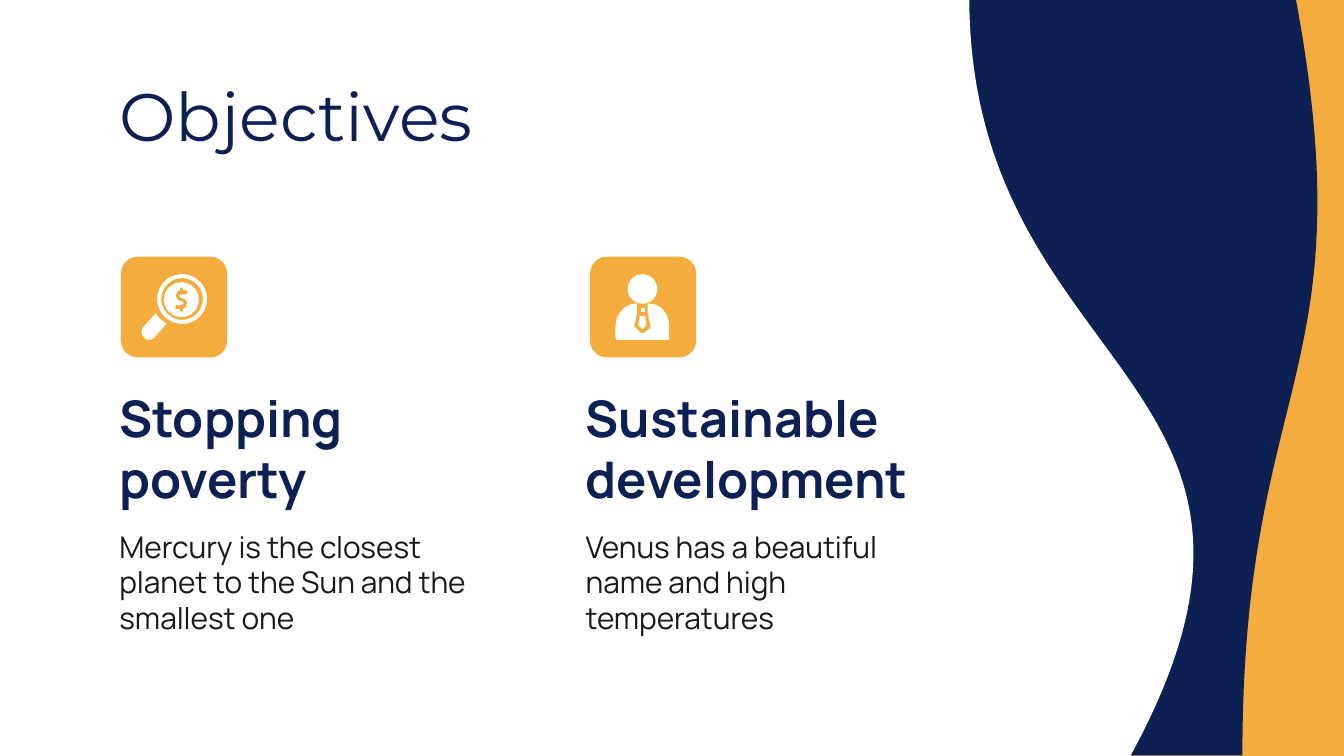
from pptx import Presentation
from pptx.dml.color import RGBColor
from pptx.enum import shapes, text
from pptx.util import Inches, Pt

NAVY, ORANGE, WHITE, INK = "0C2054", "F3AC3D", "FFFFFF", "191919"
KIND = shapes.MSO_SHAPE
SLIDE_WIDTH = Inches(10)
SLIDE_HEIGHT = SLIDE_WIDTH * 9 // 16

WAVES = [
    ((5.52, 1.3, 5.63, 3.01), NAVY, True),
    ((1.66, -1.69, 5.67, 9), WHITE, False),
]
TITLE = ["Objectives"]
OBJECTIVES = [
    (0.79, 0.9, ["Stopping", "poverty"],
     ["Mercury is the closest planet to the Sun and the smallest one"]),
    (4.26, 4.39, ["Sustainable development"],
     ["Venus has a beautiful name and high temperatures"]),
]
TITLE_FORMAT = {"name": "Montserrat", "size": Pt(36), "bold": False}
HEADING_FORMAT = {"name": "Manrope", "size": Pt(27), "bold": True}
BODY_FORMAT = {"name": "Manrope", "size": Pt(16), "bold": False}

ICON_PRESETS = [
    (KIND.OVAL, (4.67, 2.04, 0.22, 0.22), WHITE, None),
    (KIND.DONUT, (1.17, 2.04, 0.37, 0.37), WHITE, 0.08),
    (KIND.OVAL, (1.22, 2.1, 0.26, 0.26), WHITE, None),
]
PERSON_BODY = [
    (4.73, 2.26), (4.65, 2.26, 4.58, 2.34, 4.58, 2.43), (4.58, 2.51),
    (4.58, 2.52, 4.59, 2.53, 4.59, 2.53), (4.97, 2.53),
    (4.98, 2.53, 4.98, 2.52, 4.98, 2.51), (4.98, 2.43),
    (4.98, 2.34, 4.92, 2.26, 4.83, 2.26), (4.82, 2.26), (4.82, 2.33),
    (4.84, 2.42), (4.84, 2.43, 4.84, 2.43, 4.84, 2.44), (4.79, 2.48),
    (4.79, 2.48, 4.77, 2.48, 4.77, 2.48), (4.73, 2.44),
    (4.72, 2.43, 4.72, 2.43, 4.72, 2.42), (4.74, 2.33), (4.74, 2.26),
]
TIE = [(4.76, 2.35), (4.75, 2.42), (4.78, 2.45), (4.81, 2.42), (4.8, 2.35)]
TIE_KNOT = [(4.77, 2.29), (4.77, 2.32), (4.8, 2.32), (4.8, 2.29)]
HANDLE = [
    (1.16, 2.33), (1.07, 2.43), (1.03, 2.47, 1.07, 2.53, 1.11, 2.53),
    (1.12, 2.53, 1.14, 2.52, 1.15, 2.51), (1.24, 2.41),
    (1.23, 2.4, 1.21, 2.39, 1.2, 2.38), (1.19, 2.37, 1.17, 2.35, 1.16, 2.33),
]
DOLLAR = [
    (1.35, 2.14), (1.36, 2.14, 1.36, 2.14, 1.36, 2.15), (1.36, 2.16),
    (1.38, 2.16), (1.4, 2.16, 1.4, 2.19, 1.38, 2.19), (1.35, 2.19),
    (1.33, 2.19, 1.33, 2.21, 1.35, 2.22), (1.35, 2.22, 1.36, 2.22, 1.36, 2.22),
    (1.4, 2.23, 1.4, 2.28, 1.36, 2.3), (1.36, 2.31),
    (1.36, 2.31, 1.36, 2.32, 1.35, 2.32), (1.34, 2.32, 1.34, 2.31, 1.34, 2.31),
    (1.34, 2.3), (1.32, 2.3), (1.3, 2.3, 1.3, 2.27, 1.32, 2.27), (1.35, 2.27),
    (1.37, 2.27, 1.37, 2.24, 1.35, 2.24), (1.34, 2.24, 1.34, 2.24, 1.34, 2.24),
    (1.3, 2.23, 1.3, 2.17, 1.34, 2.16), (1.34, 2.15),
    (1.34, 2.14, 1.34, 2.14, 1.35, 2.14),
]
ICON_OUTLINES = [(PERSON_BODY, WHITE), (TIE, WHITE), (TIE_KNOT, WHITE),
                 (HANDLE, WHITE), (DOLLAR, ORANGE)]


def color(value):
    return RGBColor.from_string(value)


def paint(shape, fill):
    shape.shadow.inherit = False
    shape.fill.solid()
    shape.fill.fore_color.rgb = color(fill)
    shape.line.fill.background()
    return shape


def add_preset(slide, kind, box, fill, adjustment=None):
    shape = slide.shapes.add_shape(kind, *map(Inches, box))
    if adjustment is not None:
        shape.adjustments[0] = adjustment
    return paint(shape, fill)


def flatten(outline, steps=8):
    points = [outline[0]]
    for segment in outline[1:]:
        if len(segment) == 2:
            points.append(segment)
            continue
        controls = [points[-1], segment[:2], segment[2:4], segment[4:]]
        for step in range(1, steps + 1):
            t = step / steps
            weights = ((1 - t) ** 3, 3 * t * (1 - t) ** 2, 3 * t * t * (1 - t), t ** 3)
            points.append(tuple(sum(w * point[axis] for w, point in zip(weights, controls))
                                for axis in (0, 1)))
    return points


def add_outline(slide, outline, fill):
    points = [(Inches(x), Inches(y)) for x, y in flatten(outline)]
    builder = slide.shapes.build_freeform(*points[0], scale=1.0)
    builder.add_line_segments(points[1:], close=True)
    paint(builder.convert_to_shape(), fill)


def add_text(slide, box, lines, font_format, ink):
    frame = slide.shapes.add_textbox(*map(Inches, box)).text_frame
    frame_format = {"word_wrap": True, "vertical_anchor": text.MSO_ANCHOR.MIDDLE}
    for side in ("left", "top", "right", "bottom"):
        frame_format[f"margin_{side}"] = Inches(0.1)
    for name, value in frame_format.items():
        setattr(frame, name, value)
    for index, line in enumerate(lines):
        paragraph = frame.add_paragraph() if index else frame.paragraphs[0]
        run = paragraph.add_run()
        run.text = line
        for name, value in font_format.items():
            setattr(run.font, name, value)
        run.font.color.rgb = color(ink)


def main():
    presentation = Presentation()
    presentation.slide_width, presentation.slide_height = SLIDE_WIDTH, SLIDE_HEIGHT
    slide = presentation.slides.add_slide(presentation.slide_layouts[6])
    slide.background.fill.solid()
    slide.background.fill.fore_color.rgb = color(ORANGE)

    for box, fill, flipped in WAVES:
        wave = add_preset(slide, KIND.FLOWCHART_DOCUMENT, box, fill)
        wave.rotation = 270
        if flipped:
            wave._element.spPr.xfrm.set("flipH", "1")

    add_text(slide, (0.79, 0.59, 6.34, 0.53), TITLE, TITLE_FORMAT, NAVY)
    for left, tile_left, heading, body in OBJECTIVES:
        add_preset(slide, KIND.ROUNDED_RECTANGLE, (tile_left, 1.91, 0.79, 0.75), ORANGE, 0.167)
        add_text(slide, (left, 2.94, 2.87, 0.78), heading, HEADING_FORMAT, NAVY)
        add_text(slide, (left, 3.94, 2.87, 0.78), body, BODY_FORMAT, INK)

    for preset in ICON_PRESETS:
        add_preset(slide, *preset)
    for outline, fill in ICON_OUTLINES:
        add_outline(slide, outline, fill)

    presentation.save("out.pptx")


if __name__ == "__main__":
    main()
